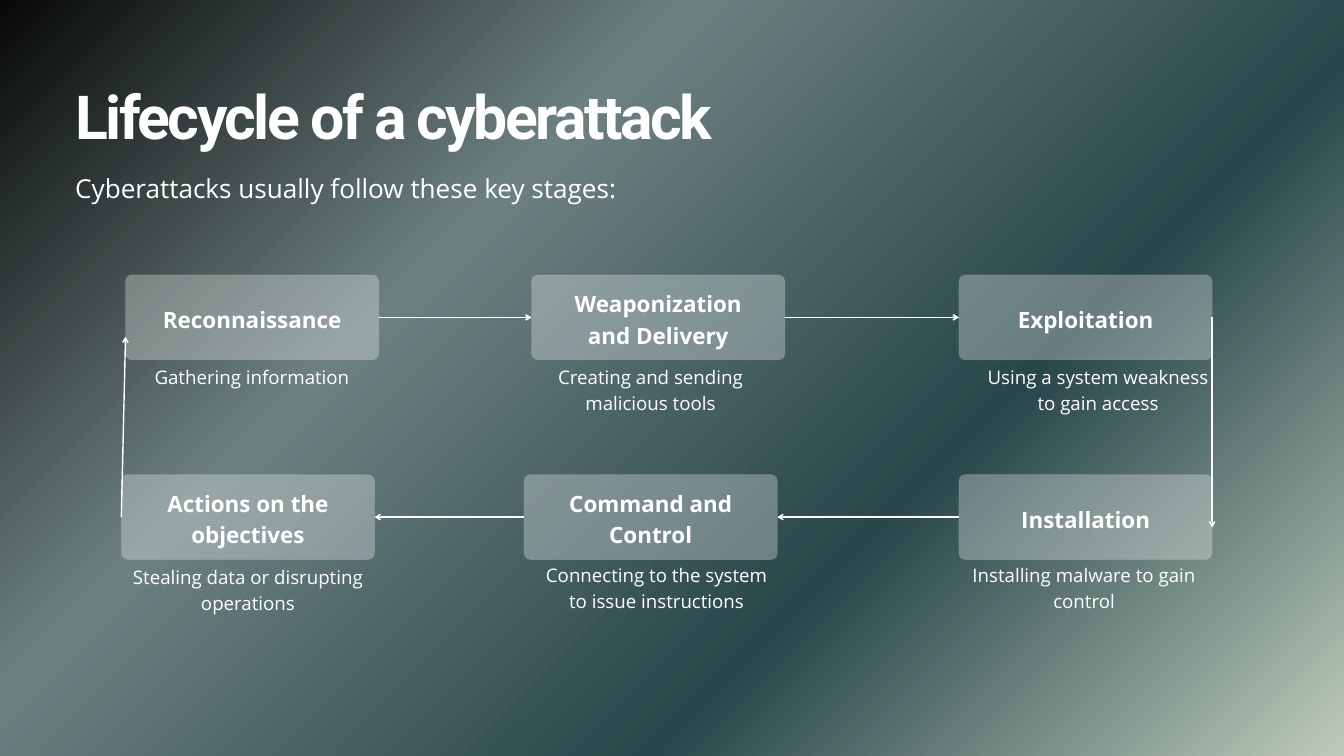
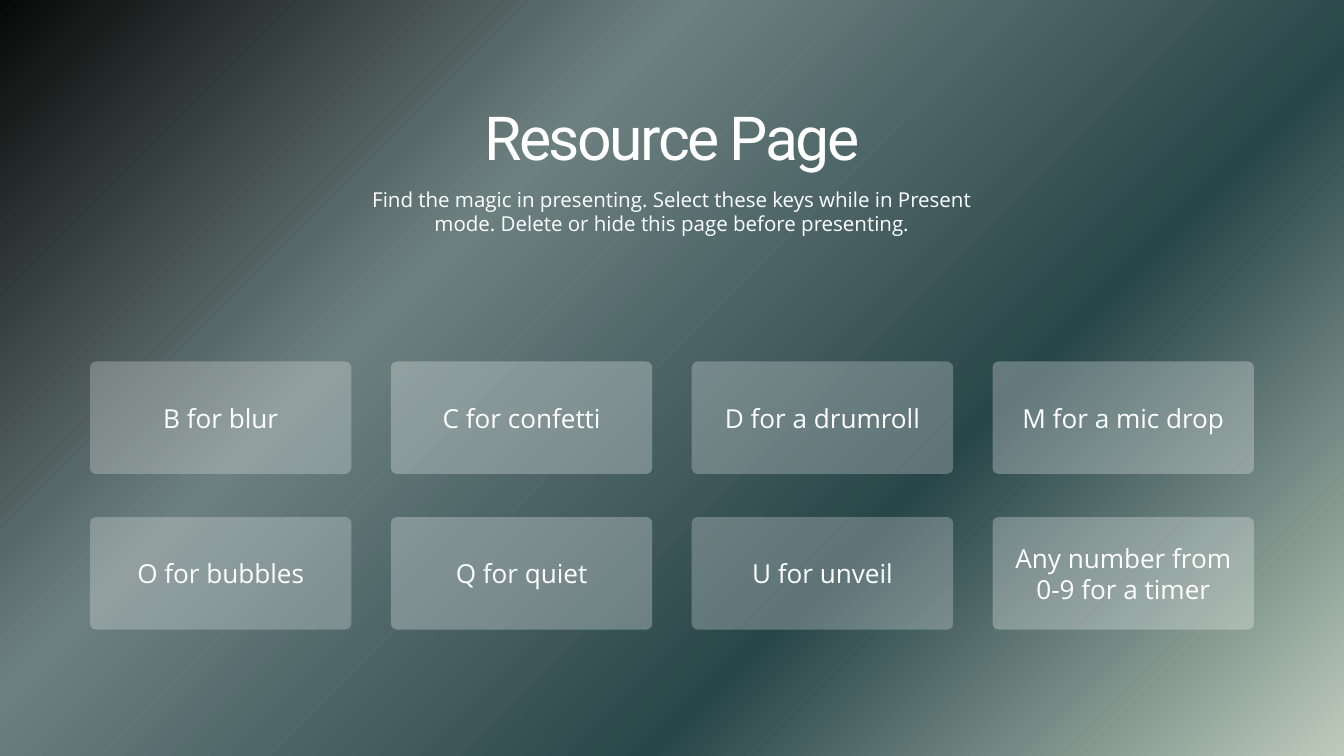
from dataclasses import dataclass, replace

from lxml.etree import SubElement
from pptx import Presentation
from pptx.dml.color import RGBColor
from pptx.enum.shapes import MSO_CONNECTOR as Connector, MSO_SHAPE as Preset
from pptx.enum.text import MSO_ANCHOR as Anchor, MSO_AUTO_SIZE as AutoSize, PP_ALIGN as Align
from pptx.oxml.ns import qn
from pptx.util import Pt

# Shared look
COLOURS = {"white": "FFFFFF", "edge": "9EB49F"}
BACKDROP = {0: "070908", 33: "6D8080", 67: "29464A", 100: "BDCBBB"}
PAGE_WIDTH, PAGE_HEIGHT = 1440, 810


@dataclass(frozen=True)
class TextStyle:
    size: float
    leading: float
    align: Align = Align.CENTER
    font: str = "Open Sans"
    bold: bool = False
    tracking: float = 0


TITLE = TextStyle(65, 91, font="Roboto", tracking=-2.7)
LEAD = TextStyle(28, 33.6, Align.LEFT)
NOTE = TextStyle(22, 26.4)
STAGE_NAME = TextStyle(24, 33.6, bold=True)
CAPTION = TextStyle(20, 28)
KEY = TextStyle(28, 33.6)


@dataclass(frozen=True)
class Area:
    left: float
    top: float
    width: float
    height: float

    def lengths(self) -> list:
        return [Pt(value) for value in (self.left, self.top, self.width, self.height)]


@dataclass(frozen=True)
class CardStyle:
    text: TextStyle
    inset: float
    opacity: int
    radius: float
    edge: bool = False


@dataclass(frozen=True)
class Stage:
    name: str
    left: float
    top: float
    caption: str
    caption_left: float
    caption_top: float


# Lifecycle stages, in order around the loop
STAGE_WIDTH, STAGE_HEIGHT = 271.3, 91
UPPER, LOWER = 294.6, 508.5
CAPTION_WIDTH, CAPTION_HEIGHT = 255, 56
STAGES = [
    Stage("Reconnaissance", 134.5, UPPER, "Gathering information", 142.5, 388),
    Stage("Weaponization and Delivery", 569.5, UPPER,
          "Creating and sending malicious tools", 569.5, 388),
    Stage("Exploitation", 1027.5, UPPER, "Using a system weakness to gain access", 1049, 388),
    Stage("Installation", 1027.5, LOWER, "Installing malware to gain control", 1034, 600),
    Stage("Command and\nControl", 561.5, LOWER,
          "Connecting to the system to issue instructions", 576, 600),
    Stage("Actions on the objectives", 130, LOWER,
          "Stealing data or disrupting operations", 138.2, 602),
]
STAGE_CARD = CardStyle(STAGE_NAME, inset=21, opacity=30, radius=6.8, edge=True)

# Shortcut keys, in rows of four
KEYS = [
    "B for blur", "C for confetti", "D for a drumroll", "M for a mic drop",
    "O for bubbles", "Q for quiet", "U for unveil", "Any number from\n0-9 for a timer",
]
COLUMNS = 4
KEY_WIDTH, KEY_HEIGHT = 280, 120.5
KEY_MARGIN, KEY_TOP, KEY_ROW_GAP = 96.5, 387.3, 46.2
KEY_GAP = (PAGE_WIDTH - 2 * KEY_MARGIN - COLUMNS * KEY_WIDTH) / (COLUMNS - 1)
KEY_CARD = CardStyle(KEY, inset=8, opacity=25, radius=6.5)


def colour(name: str) -> RGBColor:
    return RGBColor.from_string(COLOURS[name])


def paint_backdrop(layout) -> None:
    fill = layout.background.fill
    fill.gradient()
    fill.gradient_angle = 315
    stops = layout.element.find(".//" + qn("a:gsLst"))
    for stop in list(stops):
        stops.remove(stop)
    for percent, value in BACKDROP.items():
        stop = SubElement(stops, qn("a:gs"), pos=str(percent * 1000))
        SubElement(stop, qn("a:srgbClr"), val=value)


def write(shape, text: str, style: TextStyle, anchor=Anchor.TOP, inset: float = 0) -> None:
    frame = shape.text_frame
    frame.text = text
    frame.word_wrap = True
    frame.auto_size = AutoSize.NONE
    frame.vertical_anchor = anchor
    frame.margin_left = frame.margin_right = Pt(inset)
    frame.margin_top = frame.margin_bottom = 0
    for para in frame.paragraphs:
        para.alignment = style.align
        para.line_spacing = Pt(style.leading)
        for span in para.runs:
            span.font.name = style.font
            span.font.size = Pt(style.size)
            span.font.bold = style.bold
            span.font.color.rgb = colour("white")
            if style.tracking:
                span.font._element.set("spc", str(round(style.tracking * 100)))


def add_page(deck, title: str, area: Area, style: TextStyle):
    page = deck.slides.add_slide(deck.slide_layouts[5])
    heading = page.shapes.title
    heading.left, heading.top, heading.width, heading.height = area.lengths()
    write(heading, title, style)
    return page


def add_text(page, text: str, area: Area, style: TextStyle) -> None:
    write(page.shapes.add_textbox(*area.lengths()), text, style)


def add_card(page, text: str, area: Area, style: CardStyle):
    card = page.shapes.add_shape(Preset.ROUNDED_RECTANGLE, *area.lengths())
    card.adjustments[0] = style.radius / area.height
    card.shadow.inherit = False
    card.fill.solid()
    card.fill.fore_color.rgb = colour("white")
    if style.edge:
        card.line.color.rgb = colour("edge")
        card.line.width = Pt(0.75)
    else:
        card.line.fill.background()
    for tint in card.element.spPr.iter(qn("a:srgbClr")):
        SubElement(tint, qn("a:alpha"), val=str(style.opacity * 1000))
    write(card, text, style.text, Anchor.MIDDLE, style.inset)
    return card


def add_arrow(page, start, start_side: int, end=None, end_side: int = 0,
              tip: tuple[float, float] = (0, 0)) -> None:
    """Point from a card's side to another card's side, or to a free tip."""
    x, y = (Pt(value) for value in tip)
    arrow = page.shapes.add_connector(Connector.STRAIGHT, x, y, x, y)
    arrow.begin_connect(start, start_side)
    if end is not None:
        arrow.end_connect(end, end_side)
    arrow.line.color.rgb = colour("white")
    arrow.line.width = Pt(1.5)
    SubElement(arrow.line._get_or_add_ln(), qn("a:tailEnd"), type="arrow")
    SubElement(arrow._element.spPr, qn("a:effectLst"))


def build_lifecycle(deck) -> None:
    page = add_page(deck, "Lifecycle of a cyberattack", Area(80.6, 71.3, 1196, 88),
                    replace(TITLE, bold=True, align=Align.LEFT))
    add_text(page, "Cyberattacks usually follow these key stages:",
             Area(80.6, 184.3, 1029, 34), LEAD)
    cards = []
    for stage in STAGES:
        area = Area(stage.left, stage.top, STAGE_WIDTH, STAGE_HEIGHT)
        cards.append(add_card(page, stage.name, area, STAGE_CARD))
        add_text(page, stage.caption, Area(stage.caption_left, stage.caption_top,
                                           CAPTION_WIDTH, CAPTION_HEIGHT), CAPTION)

    # Arrows: rightwards, down, leftwards, and back up
    recon, weapon, exploit, install, command, actions = cards
    left, right = 1, 3
    for start, end in ((recon, weapon), (weapon, exploit)):
        add_arrow(page, start, right, end, left)
    add_arrow(page, exploit, right, tip=(1298.8, 565.2))
    for start, end in ((install, command), (command, actions)):
        add_arrow(page, start, left, end, right)
    add_arrow(page, actions, left, tip=(134.5, 360.7))


def build_resources(deck) -> None:
    page = add_page(deck, "Resource Page", Area(280.5, 93.6, 879, 88), TITLE)
    add_text(page, "Find the magic in presenting. Select these keys while in Present mode. "
                   "Delete or hide this page before presenting.",
             Area(373, 200.2, 693.4, 53.3), NOTE)
    for index, label in enumerate(KEYS):
        row, column = divmod(index, COLUMNS)
        area = Area(KEY_MARGIN + column * (KEY_WIDTH + KEY_GAP),
                    KEY_TOP + row * (KEY_HEIGHT + KEY_ROW_GAP), KEY_WIDTH, KEY_HEIGHT)
        add_card(page, label, area, replace(KEY_CARD, opacity=28 if column % 2 else 25))


def main() -> None:
    deck = Presentation()
    deck.slide_width, deck.slide_height = Pt(PAGE_WIDTH), Pt(PAGE_HEIGHT)
    paint_backdrop(deck.slide_layouts[5])
    build_lifecycle(deck)
    build_resources(deck)
    deck.save("out.pptx")


if __name__ == "__main__":
    main()
